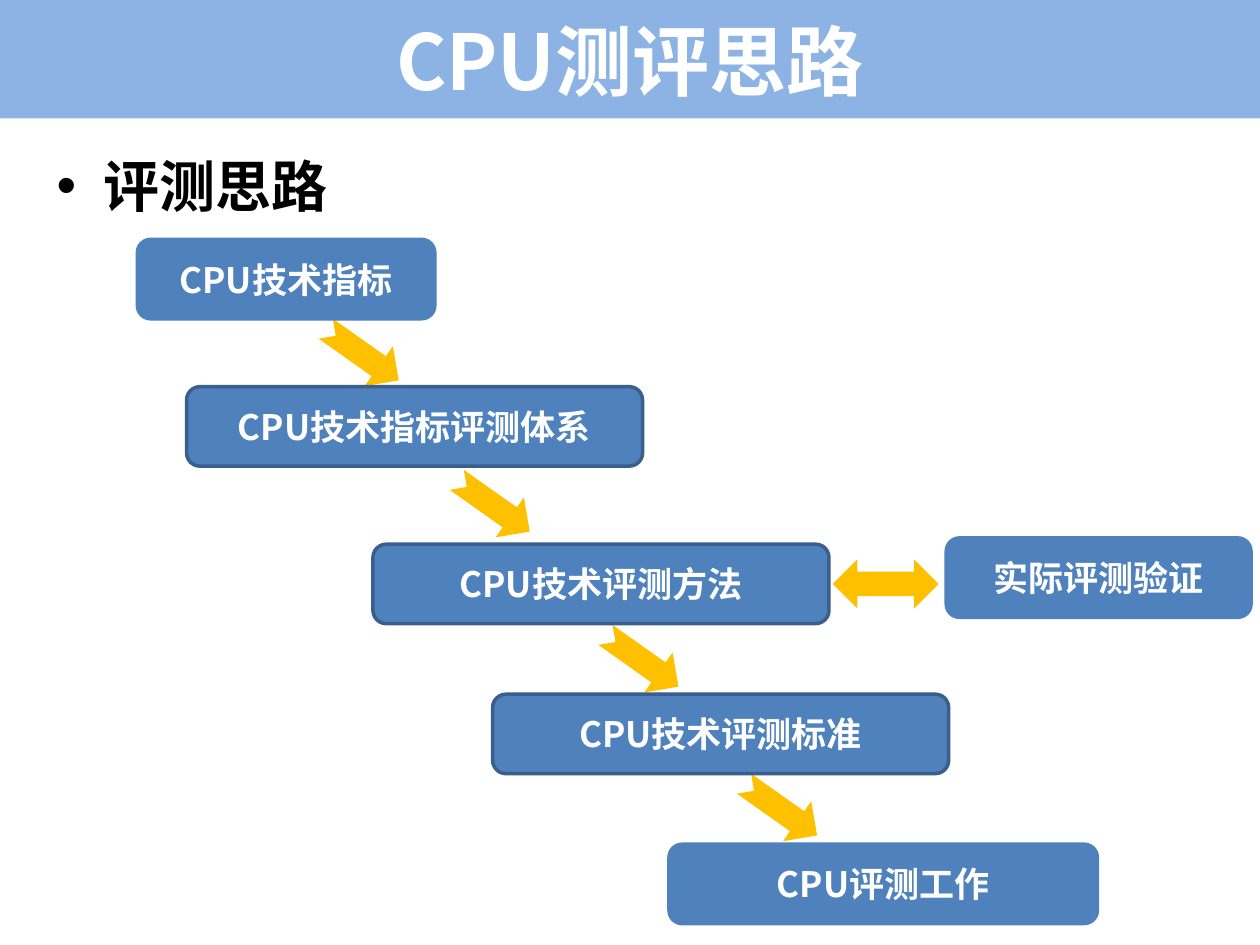
from dataclasses import dataclass

from lxml import etree
from pptx import Presentation
from pptx.dml.color import RGBColor
from pptx.enum.shapes import MSO_SHAPE
from pptx.enum.text import MSO_ANCHOR, PP_ALIGN
from pptx.oxml import parse_xml
from pptx.oxml.ns import qn
from pptx.util import Pt

BAND = MSO_SHAPE.RECTANGLE
STEP = MSO_SHAPE.ROUNDED_RECTANGLE
NEXT_ARROW = MSO_SHAPE.NOTCHED_RIGHT_ARROW
BOTH_ARROW = MSO_SHAPE.LEFT_RIGHT_ARROW
MIDDLE = MSO_ANCHOR.MIDDLE
TOP = MSO_ANCHOR.TOP
CENTER = PP_ALIGN.CENTER
LEFT = PP_ALIGN.LEFT

TEXT_SHADOW = (
    '<a:effectLst xmlns:a="http://schemas.openxmlformats.org/drawingml/2006/main">'
    '<a:outerShdw blurRad="38100" dist="38100" dir="2700000" algn="tl">'
    '<a:srgbClr val="000000"><a:alpha val="43000"/></a:srgbClr>'
    '</a:outerShdw></a:effectLst>'
)


@dataclass(frozen=True)
class Theme:
    """Colours, fonts, type sizes and shared dimensions."""

    band: str = "8CB3E3"
    step: str = "4F81BD"
    step_edge: str = "3A5F8C"
    arrow: str = "FFC000"
    light: str = "FFFFFF"
    dark: str = "000000"
    heading_font: str = "Noto Sans CJK SC"
    step_font: str = "Noto Sans CJK JP"
    title_size: int = 44
    topic_size: int = 32
    step_size: int = 20
    edge_width: int = 2
    band_height: float = 67.7
    step_height: float = 45.4
    arrow_height: float = 28
    arrow_tilt: float = 35.3


THEME = Theme()

STEPS = [
    ("CPU技术指标", 78.5, 136.8, 170, THEME.step),
    ("CPU技术指标评测体系", 106.6, 221, 260.6, THEME.step_edge),
    ("CPU技术评测方法", 213.1, 311, 260.6, THEME.step_edge),
    ("CPU技术评测标准", 281.5, 396.7, 260.6, THEME.step_edge),
    ("CPU评测工作", 382.3, 482.4, 244.8, THEME.step),
    ("实际评测验证", 540.7, 307.4, 174.2, THEME.step),
]
NEXT_ARROWS = [(181.4, 188.6), (256.3, 275), (341.3, 363.6), (420.5, 448.6)]


def apply_formats(target, formats):
    """Set every named attribute on the target."""
    for name, value in formats.items():
        setattr(target, name, value)


def place(element, left, top, width, height):
    """Position an element, with lengths in points."""
    apply_formats(element, {
        "left": Pt(left), "top": Pt(top), "width": Pt(width), "height": Pt(height),
    })


def write_text(holder, wording, size, font, color, anchor=MIDDLE, align=CENTER, shadow=False):
    """Write one bold line for Latin and East Asian letters."""
    frame = holder.text_frame
    apply_formats(frame, {"word_wrap": True, "vertical_anchor": anchor})
    line = frame.paragraphs[0]
    line.alignment = align
    run = line.add_run()
    run.text = wording
    run.font.color.rgb = RGBColor.from_string(color)
    properties = run.font._element
    if shadow:
        properties.append(parse_xml(TEXT_SHADOW))
    apply_formats(run.font, {"name": font, "size": Pt(size), "bold": True})
    etree.SubElement(properties, qn("a:ea")).set("typeface", font)
    return line


def add_block(slide, kind, box, fill, edge=None):
    """Add a flat filled shape with an optional edge."""
    block = slide.shapes.add_shape(kind, *map(Pt, box))
    block.shadow.inherit = False
    block.fill.solid()
    block.fill.fore_color.rgb = RGBColor.from_string(fill)
    if edge:
        block.line.color.rgb = RGBColor.from_string(edge)
        block.line.width = Pt(THEME.edge_width)
    else:
        block.line.fill.background()
    return block


def add_heading(slide):
    """Fill the title over its band and the topic bullet below."""
    band = add_block(slide, BAND, (0, 0, 720, THEME.band_height), THEME.band)
    slide.shapes._spTree.insert(2, band._element)
    title, topic = slide.placeholders
    place(title, 36, 0, 648, THEME.band_height)
    write_text(title, "CPU测评思路", THEME.title_size, THEME.heading_font, THEME.light)
    place(topic, 25.2, 82.8, 668.9, 442)
    line = write_text(topic, "评测思路", THEME.topic_size, THEME.heading_font,
                      THEME.dark, TOP, LEFT, shadow=True)
    line.space_after = Pt(6)


def add_step(slide, wording, left, top, width, edge):
    """Add one labelled step of the evaluation flow."""
    step = add_block(slide, STEP, (left, top, width, THEME.step_height), THEME.step, edge)
    write_text(step, wording, THEME.step_size, THEME.step_font, THEME.light)


def add_arrow(slide, kind, left, top, width, tilt=0):
    """Add a block arrow between two steps."""
    arrow = add_block(slide, kind, (left, top, width, THEME.arrow_height), THEME.arrow)
    arrow.rotation = tilt


def main():
    """Build the evaluation flow slide."""
    deck = Presentation()
    apply_formats(deck, {"slide_width": Pt(720), "slide_height": Pt(540)})
    slide = deck.slides.add_slide(deck.slide_layouts[1])
    add_heading(slide)
    for left, top in NEXT_ARROWS:
        add_arrow(slide, NEXT_ARROW, left, top, 51.1, THEME.arrow_tilt)
    for step in STEPS:
        add_step(slide, *step)
    add_arrow(slide, BOTH_ARROW, 475.9, 319.7, 60.5)
    deck.save("out.pptx")


if __name__ == "__main__":
    main()
